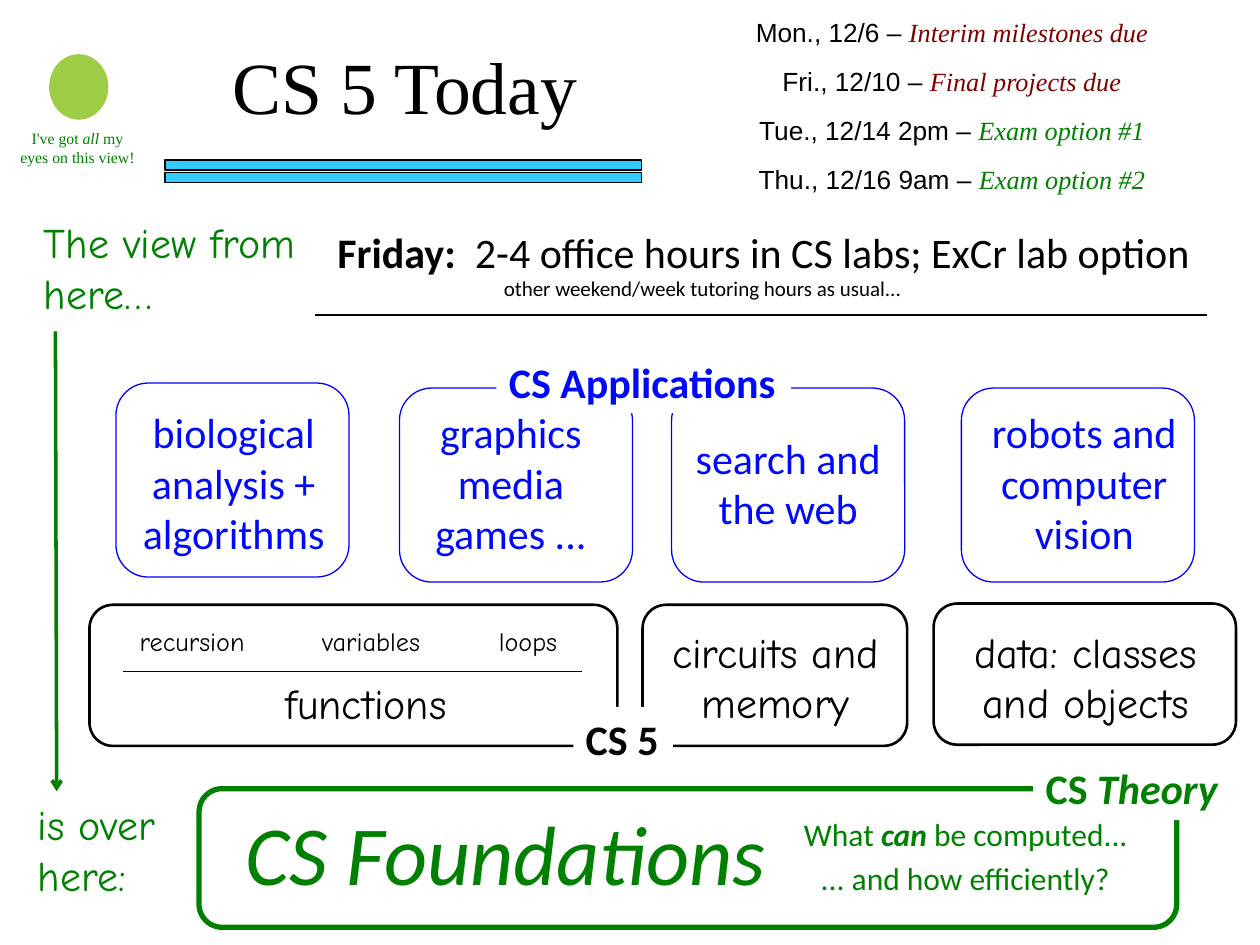
"""Build the CS 5 Today overview slide."""
from lxml.etree import SubElement
from pptx import Presentation
from pptx.dml.color import RGBColor
from pptx.enum.shapes import MSO_CONNECTOR, MSO_SHAPE
from pptx.enum.text import MSO_ANCHOR, PP_ALIGN
from pptx.oxml.ns import qn
from pptx.util import Inches, Pt

HUES = {
    "black": "000000", "white": "FFFFFF", "green": "008000", "red": "800000",
    "blue": "000AF9", "edge": "0000FF", "sky": "33CCFF", "lime": "9ECC46",
}
SANS, HAND, ROMAN = "Calibri", "Comic Neue", "Times New Roman"

deck = Presentation()
deck.slide_width, deck.slide_height = Inches(10), Inches(7.5)
slide = deck.slides.add_slide(deck.slide_layouts[6])


def shape(kind, box, fill=None, edge=None, width=0.75):
    item = slide.shapes.add_shape(kind, *map(Inches, box))
    item.shadow.inherit = False
    if fill:
        item.fill.solid()
        item.fill.fore_color.rgb = RGBColor.from_string(HUES[fill])
    else:
        item.fill.background()
    if edge:
        item.line.color.rgb = RGBColor.from_string(HUES[edge])
        item.line.width = Pt(width)
    else:
        item.line.fill.background()
    return item


def write(box, runs, size, font, hue, align=PP_ALIGN.CENTER, wrap=True, item=None):
    item = item or slide.shapes.add_textbox(*map(Inches, box))
    frame = item.text_frame
    frame.word_wrap = wrap
    frame.vertical_anchor = MSO_ANCHOR.TOP
    para = frame.paragraphs[0]
    para.alignment = align
    for words, style, *look in runs:
        face, tint = look or (font, hue)
        run = para.add_run()
        run.text = words
        run.font.size = Pt(size)
        run.font.name = face
        run.font.bold = "b" in style
        run.font.italic = "i" in style
        run.font.color.rgb = RGBColor.from_string(HUES[tint])


for top in (1.27, 1.37):
    shape(MSO_SHAPE.RECTANGLE, (1.31, top, 3.78, 0.08), "sky", "black")
shape(MSO_SHAPE.OVAL, (0.39, 0.43, 0.47, 0.52), "lime")

frames = [((left, top, 1.85, 1.54), "edge", 0.75)
          for left, top in ((0.92, 3.04), (3.17, 3.08), (5.33, 3.08), (7.63, 3.08))]
frames += [
    ((0.71, 4.8, 4.19, 1.12), "black", 1.5),
    ((5.1, 4.8, 2.1, 1.12), "black", 1.5),
    ((7.41, 4.79, 2.4, 1.12), "black", 1.5),
    ((1.58, 6.26, 7.76, 1.1), "green", 3),
]
for box, hue, width in frames:
    shape(MSO_SHAPE.ROUNDED_RECTANGLE, box, edge=hue, width=width)

for ends, hue, width, head in (
    ((0.98, 5.33, 4.62, 5.33), "black", 0.75, False),
    ((0.44, 2.63, 0.45, 6.28), "green", 2, True),
    ((2.5, 2.5, 9.58, 2.5), "black", 0.75, False),
):
    line = slide.shapes.add_connector(MSO_CONNECTOR.STRAIGHT, *map(Inches, ends))
    line.line.color.rgb = RGBColor.from_string(HUES[hue])
    line.line.width = Pt(width)
    if head:
        SubElement(line.line._get_or_add_ln(), qn("a:tailEnd"), type="arrow")
    SubElement(line._element.spPr, qn("a:effectLst"))

write((1.51, 0.28, 3.55, 0.8), [("CS 5 Today ", "")], 42, ROMAN, "black")
write((0.03, 0.97, 1.17, 0.4),
      [("I've got ", ""), ("all ", "i"), ("my eyes on this view!", "")],
      9, ROMAN, "green")

dates = (
    ("Mon., 12/6 – ", "Interim milestones due", "red"),
    ("Fri., 12/10 – ", "Final projects due", "red"),
    ("Tue., 12/14 2pm – ", "Exam option #1", "green"),
    ("Thu., 12/16 9am – ", "Exam option #2", "green"),
)
for row, (day, event, hue) in enumerate(dates):
    write((5.39, 0.08 + 0.39 * row, 4.33, 0.35),
          [(day, ""), (event, "i", ROMAN, hue)], 15, "Arial", "black")

for box, words in (
    ((0.25, 1.67, 2.32, 0.91), "The view from here…"),
    ((0.2, 6.29, 1.76, 0.91), "is over here:"),
):
    write(box, [(words, "")], 24, HAND, "green", PP_ALIGN.LEFT)

write((2.58, 1.75, 7.03, 0.51),
      [("Friday:  ", "b"), ("2-4 office hours in CS labs; ExCr lab option", "")],
      24, SANS, "black", PP_ALIGN.LEFT, False)
write((3.9, 2.14, 3.36, 0.3), [("other weekend/week tutoring hours as usual...", "")],
      12, SANS, "black", PP_ALIGN.LEFT, False)

for box, words in (
    ((1, 3.18, 1.71, 1.31), "biological analysis + algorithms"),
    ((3.2, 3.18, 1.71, 1.31), "graphics media games ..."),
    ((5.4, 3.38, 1.71, 0.91), "search and the web"),
    ((7.6, 3.18, 2.01, 1.31), "robots and computer vision"),
):
    write(box, [(words, "")], 24, SANS, "blue")

for box, words, size in (
    ((0.9, 4.91, 1.25, 0.35), "recursion", 15),
    ((2.32, 4.91, 1.25, 0.35), "variables", 15),
    ((3.73, 4.91, 0.92, 0.35), "loops", 15),
    ((1.9, 5.33, 2.01, 0.51), "functions", 24),
    ((4.9, 4.92, 2.51, 0.91), "circuits and memory", 24),
    ((7.48, 4.92, 2.27, 0.91), "data: classes and objects", 24),
):
    write(box, [(words, "")], size, HAND, "black")

for box, runs, size in (
    ((1.75, 6.31, 4.53, 0.91), [("CS Foundations", "i")], 48),
    ((6.27, 6.42, 2.79, 0.4),
     [("What ", ""), ("can ", "bi"), ("be computed...", "")], 18),
    ((6.4, 6.77, 2.52, 0.4), [("... and how efficiently?", "")], 18),
):
    write(box, runs, size, SANS, "green", wrap=False)

for box, runs, hue, wrap in (
    ((3.94, 2.78, 2.34, 0.5), [("CS Applications", "b")], "blue", False),
    ((4.55, 5.61, 0.79, 0.51), [("CS 5", "b")], "black", False),
    ((8.2, 6, 1.68, 0.51), [("CS ", "b"), ("Theory", "bi")], "green", True),
):
    label = shape(MSO_SHAPE.RECTANGLE, box, "white")
    write(box, runs, 24, SANS, hue, PP_ALIGN.LEFT, wrap, label)

deck.save("out.pptx")
